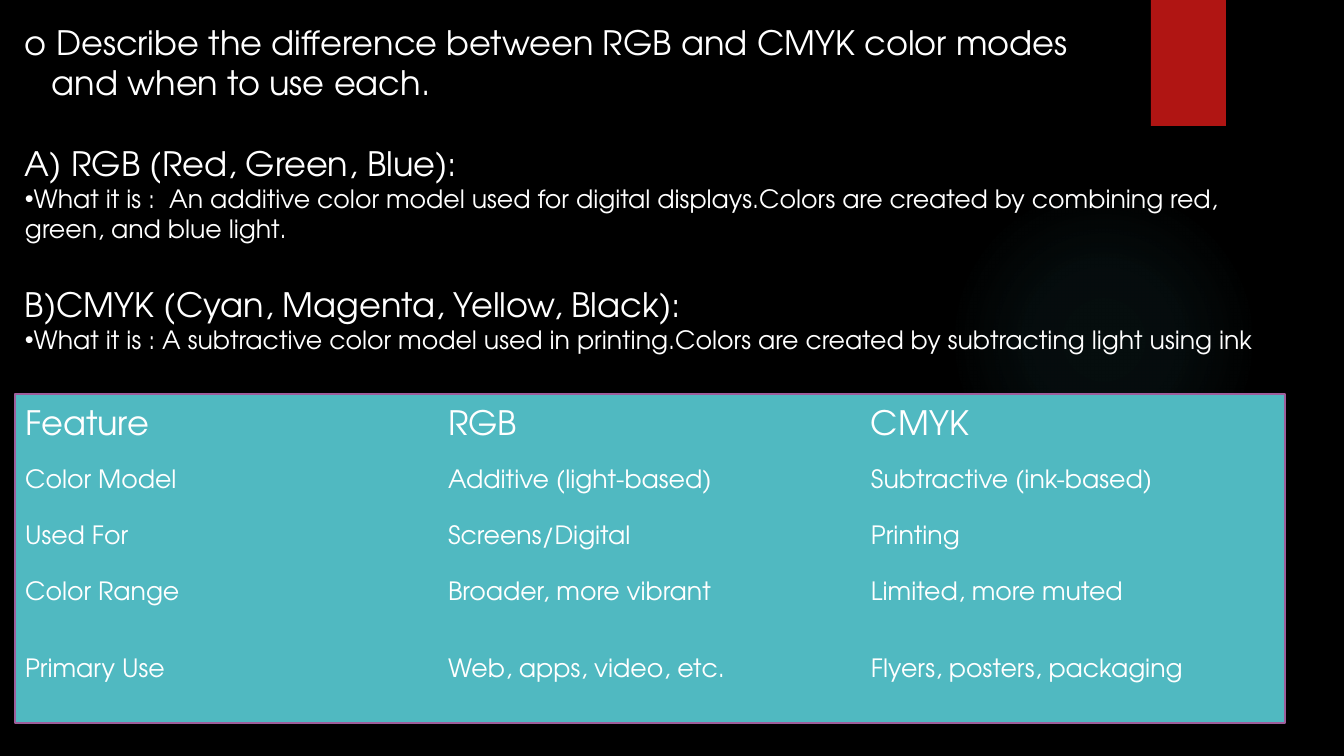
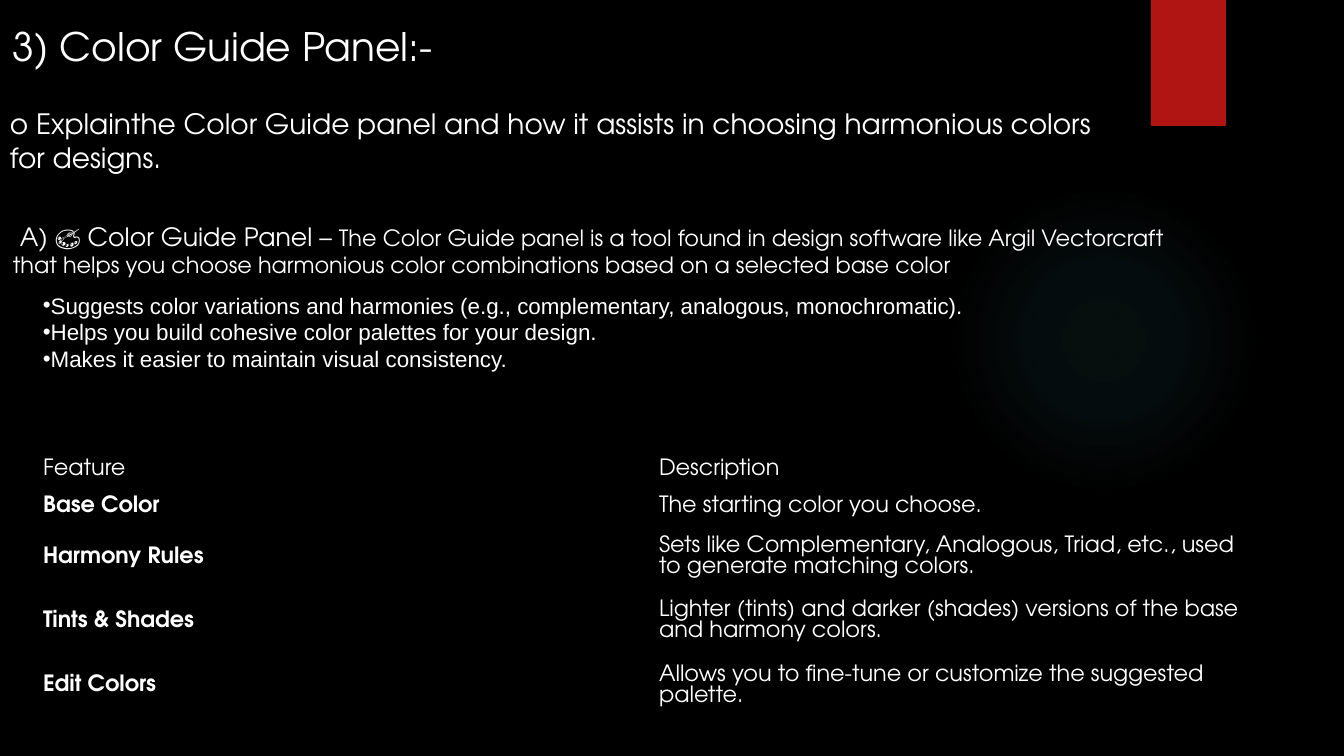
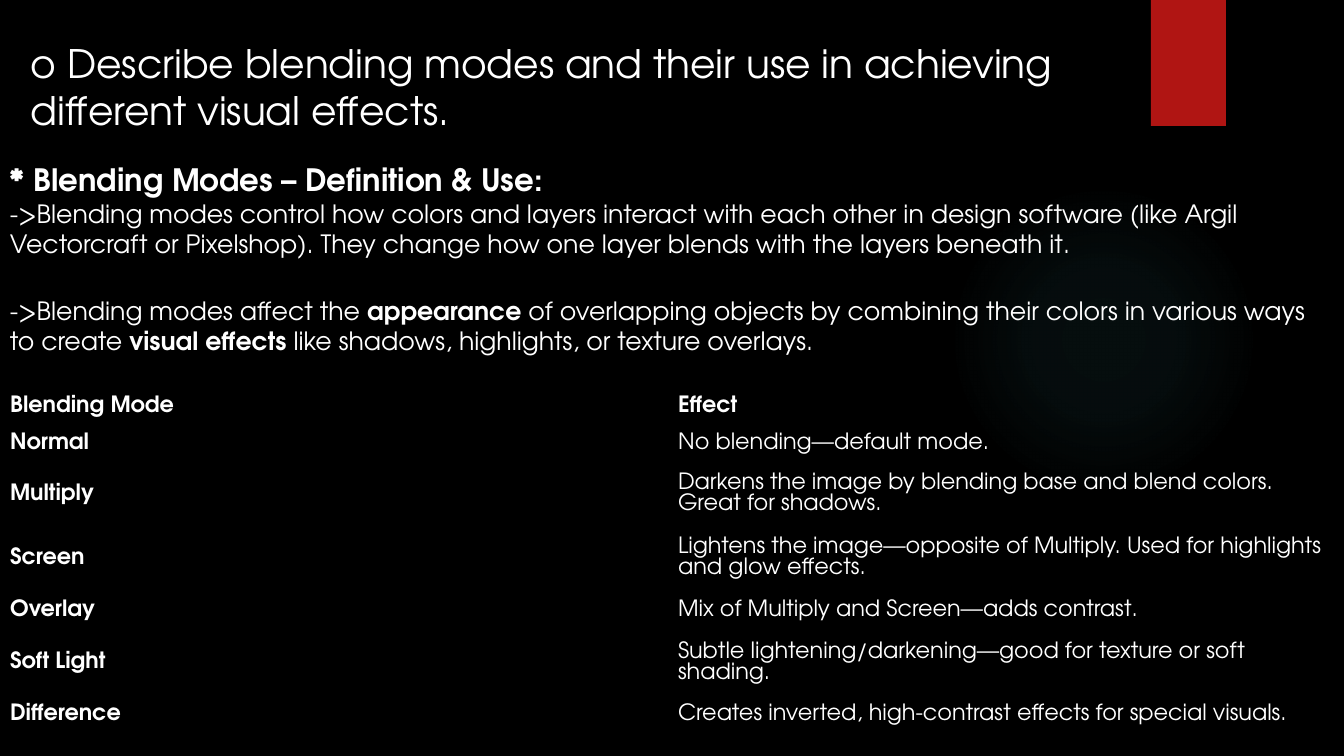
from lxml import etree
from pptx import Presentation
from pptx import util as u
from pptx.dml.color import RGBColor
from pptx.enum import shapes, text
from pptx.oxml import parse_xml
from pptx.oxml.ns import qn

BLACK, WHITE, RED, TEAL, PURPLE = "000000", "FFFFFF", "B01513", "50B9C1", "9E5E9B"
BODY, PLAIN = "TeX Gyre Adventor", "Arial"
NO_STYLE = "{2D5ABB26-0587-4C30-8999-92F81FD0307C}"
DRAWING = "http://schemas.openxmlformats.org/drawingml/2006/main"
GLOW = (1104, 340, 310)
GLOW_STOPS = [(0, 7), (36, 6), (69, 0)]
RIBBON = (1151, 0, 75, 126)

SLIDES = [
    {
        "panel": (15, 394, 1270, 329),
        "texts": [
            {"at": (15, 17, 1148, 92), "paragraphs": [
                {"runs": [("o Describe the difference between RGB and CMYK color modes", 24, False)]},
                {"runs": [("and when to use each.", 24, False)], "left": 27}]},
            {"at": (15, 138, 1258, 112), "paragraphs": [
                {"runs": [("A) RGB (Red, Green, Blue):", 24, False)]},
                {"runs": [("What it is :  An additive color model used for digital displays."
                           "Colors are created by combining red, green, and blue light.", 18, False)],
                 "bullet": True}]},
            {"at": (15, 279, 1329, 82), "paragraphs": [
                {"runs": [("B)CMYK (Cyan, Magenta, Yellow, Black):", 24, False)]},
                {"runs": [("What it is : A subtractive color model used in printing."
                           "Colors are created by subtracting light using ink", 18, False)],
                 "bullet": True}]},
        ],
        "table": {
            "at": (15, 398), "column": 423, "heights": [56, 56, 56, 56, 98],
            "sizes": (24, 18), "bold_head": False, "bold_names": False,
            "rows": [
                ("Feature", "RGB", "CMYK"),
                ("Color Model", "Additive (light-based)", "Subtractive (ink-based)"),
                ("Used For", "Screens/Digital", "Printing"),
                ("Color Range", "Broader, more vibrant", "Limited, more muted"),
                ("Primary Use", "Web, apps, video, etc.", "Flyers, posters, packaging"),
            ],
        },
    },
    {
        "texts": [
            {"at": (3, 17, 671, 57), "paragraphs": [
                {"runs": [("3) Color Guide Panel:-", 28, False)]}]},
            {"at": (0, 102, 1124, 78), "paragraphs": [
                {"runs": [("o Explainthe Color Guide panel and how it assists in choosing "
                           "harmonious colors for designs.", 20, False)]}]},
            {"at": (3, 216, 1208, 68), "paragraphs": [
                {"runs": [("A) 🎨 Color Guide Panel – ", 18, False),
                          ("The Color Guide panel is a tool found in design software like Argil "
                           "Vectorcraft that helps you choose harmonious color combinations "
                           "based on a selected base color", 16, False)], "first": 7}]},
            {"at": (33, 286, 953, 92), "font": PLAIN, "middle": True, "paragraphs": [
                {"runs": [(benefit, 16, False)], "bullet": True} for benefit in (
                    "Suggests color variations and harmonies (e.g., complementary, analogous, monochromatic).",
                    "Helps you build cohesive color palettes for your design.",
                    "Makes it easier to maintain visual consistency.")]},
        ],
        "table": {
            "at": (33, 451), "column": 616, "heights": [37, 37, 63, 65, 63],
            "sizes": (16, 16), "bold_head": False, "bold_names": True,
            "rows": [
                ("Feature", "Description"),
                ("Base Color", "The starting color you choose."),
                ("Harmony Rules", "Sets like Complementary, Analogous, Triad, etc., used to generate matching colors."),
                ("Tints & Shades", "Lighter (tints) and darker (shades) versions of the base and harmony colors."),
                ("Edit Colors", "Allows you to fine-tune or customize the suggested palette."),
            ],
        },
    },
    {
        "texts": [
            {"at": (21, 34, 1137, 105), "paragraphs": [
                {"runs": [("o Describe blending modes and their use in achieving different "
                           "visual effects.", 28, False)]}]},
            {"at": (0, 156, 1294, 109), "paragraphs": [
                {"runs": [("* Blending Modes – Definition & Use:", 22, True)]},
                {"runs": [("->Blending modes control how colors and layers interact with each other in "
                           "design software (like Argil Vectorcraft or Pixelshop). They change how one "
                           "layer blends with the layers beneath it.", 18, False)]}]},
            {"at": (0, 290, 1344, 72), "paragraphs": [
                {"runs": [("->Blending modes affect the ", 18, False),
                          ("appearance", 18, True),
                          (" of overlapping objects by combining their colors in various ways to create ",
                           18, False),
                          ("visual effects", 18, True),
                          (" like shadows, highlights, or texture overlays.", 18, False)]}]},
        ],
        "table": {
            "at": (0, 388), "column": 668, "heights": [37, 37, 63, 65, 40, 64, 40],
            "sizes": (16, 16), "bold_head": True, "bold_names": True,
            "rows": [
                ("Blending Mode", "Effect"),
                ("Normal", "No blending—default mode."),
                ("Multiply", "Darkens the image by blending base and blend colors. Great for shadows."),
                ("Screen", "Lightens the image—opposite of Multiply. Used for highlights and glow effects."),
                ("Overlay", "Mix of Multiply and Screen—adds contrast."),
                ("Soft Light", "Subtle lightening/darkening—good for texture or soft shading."),
                ("Difference", "Creates inverted, high-contrast effects for special visuals."),
            ],
        },
    },
]


def px(length):
    return u.Emu(round(length * 914400 / 100.8))


def color(code):
    return RGBColor.from_string(code)


def style(run, size, bold, font=BODY):
    run.font.size = u.Pt(size)
    run.font.bold = bold
    run.font.name = font
    run.font.color.rgb = color(WHITE)


def add_block(slide, kind, at, fill):
    block = slide.shapes.add_shape(kind, *map(px, at))
    block.shadow.inherit = False
    block.fill.solid()
    block.fill.fore_color.rgb = color(fill)
    block.line.fill.background()
    return block


def add_backdrop(slide):
    slide.background.fill.solid()
    slide.background.fill.fore_color.rgb = color(BLACK)
    x, y, size = GLOW
    glow = add_block(slide, shapes.MSO_SHAPE.OVAL, (x - size / 2, y - size / 2, size, size), TEAL)
    stops = "".join(
        f'<a:gs pos="{place * 1000}"><a:srgbClr val="{TEAL}"><a:alpha val="{alpha * 1000}"/></a:srgbClr></a:gs>'
        for place, alpha in GLOW_STOPS)
    gradient = parse_xml(
        f'<a:gradFill xmlns:a="{DRAWING}" rotWithShape="1"><a:gsLst>{stops}</a:gsLst><a:path path="circle">'
        '<a:fillToRect l="50000" t="50000" r="50000" b="50000"/></a:path></a:gradFill>')
    properties = glow.element.spPr
    properties.replace(properties.find(qn("a:solidFill")), gradient)
    add_block(slide, shapes.MSO_SHAPE.RECTANGLE, RIBBON, RED)


def add_text(slide, at, paragraphs, font=BODY, middle=False):
    frame = slide.shapes.add_textbox(*map(px, at)).text_frame
    frame.word_wrap = True
    if middle:
        frame.vertical_anchor = text.MSO_ANCHOR.MIDDLE
    for index, content in enumerate(paragraphs):
        paragraph = frame.add_paragraph() if index else frame.paragraphs[0]
        properties = paragraph._p.get_or_add_pPr()
        properties.set("marL", str(px(content.get("left", 0))))
        properties.set("indent", str(px(content.get("first", 0))))
        if content.get("bullet"):
            etree.SubElement(properties, qn("a:buFont")).set("typeface", PLAIN)
            etree.SubElement(properties, qn("a:buChar")).set("char", "•")
        for words, size, bold in content["runs"]:
            run = paragraph.add_run()
            run.text = words
            style(run, size, bold, font)


def add_grid(slide, at, column, heights, sizes, bold_head, bold_names, rows):
    columns = len(rows[0])
    grid = slide.shapes.add_table(
        len(rows), columns, *map(px, (*at, column * columns, sum(heights)))).table
    grid.first_row = grid.horz_banding = False
    grid._tbl.tblPr.find(qn("a:tableStyleId")).text = NO_STYLE
    for each in grid.columns:
        each.width = px(column)
    for r, (height, row) in enumerate(zip(heights, rows)):
        grid.rows[r].height = px(height)
        for c, words in enumerate(row):
            cell = grid.cell(r, c)
            cell.fill.background()
            cell.vertical_anchor = text.MSO_ANCHOR.MIDDLE
            paragraph = cell.text_frame.paragraphs[0]
            paragraph.text = words
            bold = bold_head if r == 0 else bold_names and c == 0
            style(paragraph.runs[0], sizes[r > 0], bold)


def main():
    deck = Presentation()
    deck.slide_width, deck.slide_height = px(1344), px(756)
    for content in SLIDES:
        slide = deck.slides.add_slide(deck.slide_layouts[6])
        add_backdrop(slide)
        if "panel" in content:
            panel = add_block(slide, shapes.MSO_SHAPE.RECTANGLE, content["panel"], TEAL)
            panel.line.color.rgb = color(PURPLE)
            panel.line.width = u.Pt(1.5)
        for box in content["texts"]:
            add_text(slide, **box)
        add_grid(slide, **content["table"])
    deck.save("out.pptx")


if __name__ == "__main__":
    main()
